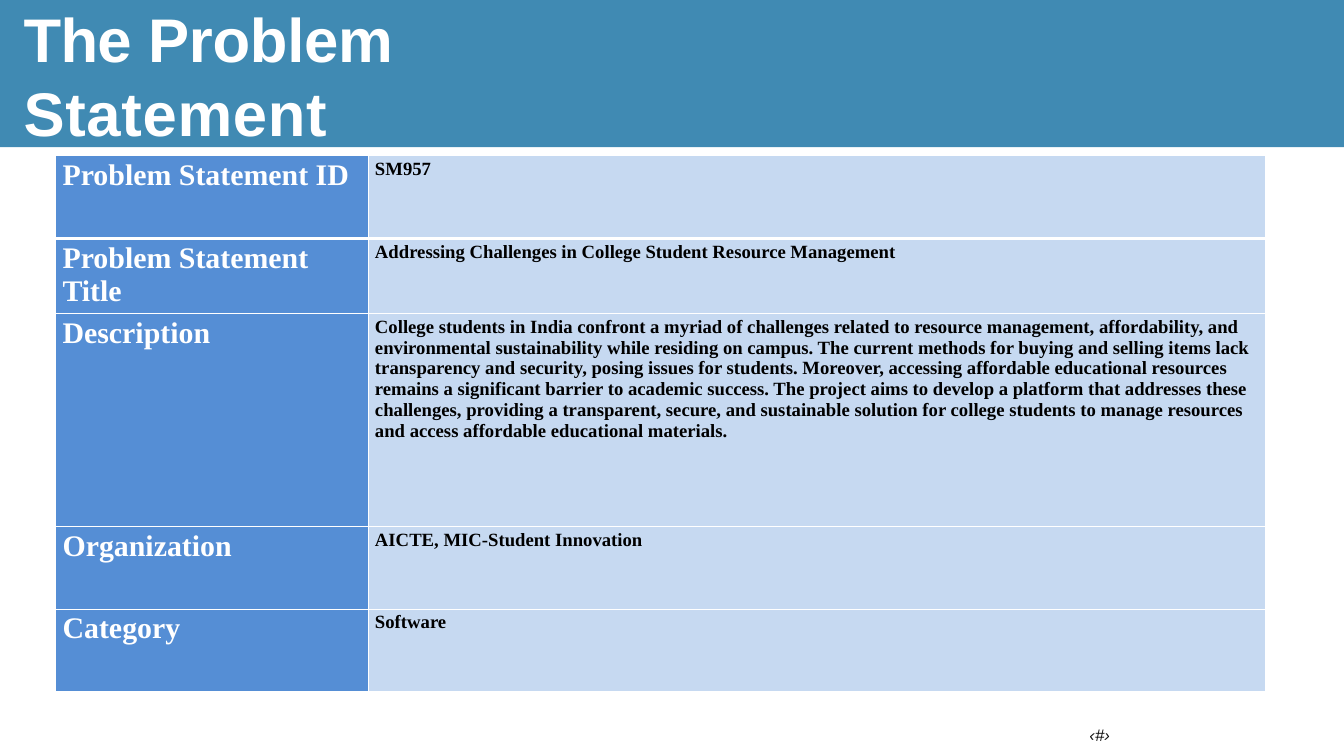
"""Build the problem statement slide: title band, table and page number."""
from lxml import etree
from pptx import Presentation
from pptx.dml.color import RGBColor
from pptx.enum.shapes import MSO_SHAPE
from pptx.enum.text import MSO_ANCHOR, MSO_AUTO_SIZE, PP_ALIGN
from pptx.oxml.ns import qn
from pptx.util import Cm, Pt

RECTANGLE = MSO_SHAPE.RECTANGLE
MIDDLE = MSO_ANCHOR.MIDDLE
TOP = MSO_ANCHOR.TOP
NO_AUTOFIT = MSO_AUTO_SIZE.NONE
LEFT = PP_ALIGN.LEFT
WHITE = RGBColor(0xFF, 0xFF, 0xFF)
BLACK = RGBColor(0x00, 0x00, 0x00)
INK = RGBColor(0x0C, 0x0C, 0x0C)
BAND_BLUE = RGBColor(0x40, 0x8A, 0xB3)
LABEL_BLUE = RGBColor(0x55, 0x8E, 0xD5)
VALUE_BLUE = RGBColor(0xC6, 0xD9, 0xF1)

TITLE_FONT = {"name": "Arial", "size": Pt(66), "bold": True}
NUMBER_FONT = {"name": "Arial", "size": Pt(18), "italic": True}
LABEL_FONT = {"name": "Times New Roman", "size": Pt(32), "bold": True}
VALUE_FONT = {"name": "Times New Roman", "size": Pt(20), "bold": True}
TITLE_SPANS = [("The ", -70), ("Problem ", -30), ("Statement", 80)]
COLUMN_STYLES = [(LABEL_FONT, WHITE, LABEL_BLUE), (VALUE_FONT, BLACK, VALUE_BLUE)]
COLUMN_WIDTHS = [11.81, 33.91]
ROWS = [
    (3.12, "Problem Statement ID", "SM957"),
    (2.84, "Problem Statement Title",
     "Addressing Challenges in College Student Resource Management"),
    (8.05, "Description",
     "College students in India confront a myriad of challenges related to "
     "resource management, affordability, and environmental sustainability "
     "while residing on campus. The current methods for buying and selling "
     "items lack transparency and security, posing issues for students. "
     "Moreover, accessing affordable educational resources remains a "
     "significant barrier to academic success. The project aims to develop a "
     "platform that addresses these challenges, providing a transparent, "
     "secure, and sustainable solution for college students to manage "
     "resources and access affordable educational materials."),
    (3.12, "Organization", "AICTE, MIC-Student Innovation"),
    (3.12, "Category", "Software"),
]


def add_span(para, text, font, color):
    span = para.add_run()
    span.text = text
    for name, value in font.items():
        setattr(span.font, name, value)
    span.font.color.rgb = color
    return span


def set_borders(cell, widths):
    properties = cell._tc.get_or_add_tcPr()
    for index, (side, width) in enumerate(widths.items()):
        line = etree.Element(qn(f"a:{side}"), w=str(Pt(width)))
        fill = etree.SubElement(line, qn("a:solidFill"))
        etree.SubElement(fill, qn("a:srgbClr"), val=str(WHITE))
        properties.insert(index, line)


deck = Presentation()
deck.slide_width = Cm(50.8)
deck.slide_height = Cm(28.58)
page = deck.slides.add_slide(deck.slide_layouts[5])

title = page.shapes.title
band = page.shapes.add_shape(RECTANGLE, 0, 0, deck.slide_width, Cm(5.56))
band.shadow.inherit = False
band.fill.solid()
band.fill.fore_color.rgb = BAND_BLUE
band.line.fill.background()
title._element.addprevious(band._element)

number = page.shapes.add_textbox(0, 0, Cm(1), Cm(1))
for box, place, anchor in [(title, (0.86, 1.42, 25.78, 2.84), MIDDLE),
                           (number, (41.15, 27.41, 0.84, 0.74), TOP)]:
    box.left, box.top, box.width, box.height = map(Cm, place)
    frame = box.text_frame
    frame_format = {"margin_left": Cm(0.03), "margin_top": 0, "margin_right": 0,
                    "margin_bottom": 0, "word_wrap": True,
                    "auto_size": NO_AUTOFIT, "vertical_anchor": anchor}
    for name, value in frame_format.items():
        setattr(frame, name, value)
    frame.paragraphs[0].alignment = LEFT

para = title.text_frame.paragraphs[0]
para.space_before = Pt(1)
for text, spacing in TITLE_SPANS:
    span = add_span(para, text, TITLE_FONT, WHITE)
    span.font._element.set("spc", str(spacing))

para = number.text_frame.paragraphs[0]
para.line_spacing = Pt(20.9)
add_span(para, "‹#›", NUMBER_FONT, INK)

table = page.shapes.add_table(
    len(ROWS), len(COLUMN_WIDTHS), Cm(2.11), Cm(5.89),
    Cm(sum(COLUMN_WIDTHS)), Cm(sum(row[0] for row in ROWS))).table
for column, width in zip(table.columns, COLUMN_WIDTHS):
    column.width = Cm(width)
for row_index, (height, *texts) in enumerate(ROWS):
    table.rows[row_index].height = Cm(height)
    borders = {"lnL": 1, "lnR": 1, "lnT": 3 if row_index == 1 else 1,
               "lnB": 3 if row_index == 0 else 1}
    for column_index, text in enumerate(texts):
        font, color, fill_color = COLUMN_STYLES[column_index]
        cell = table.cell(row_index, column_index)
        cell.fill.solid()
        cell.fill.fore_color.rgb = fill_color
        set_borders(cell, borders)
        add_span(cell.text_frame.paragraphs[0], text, font, color)

deck.save("out.pptx")
